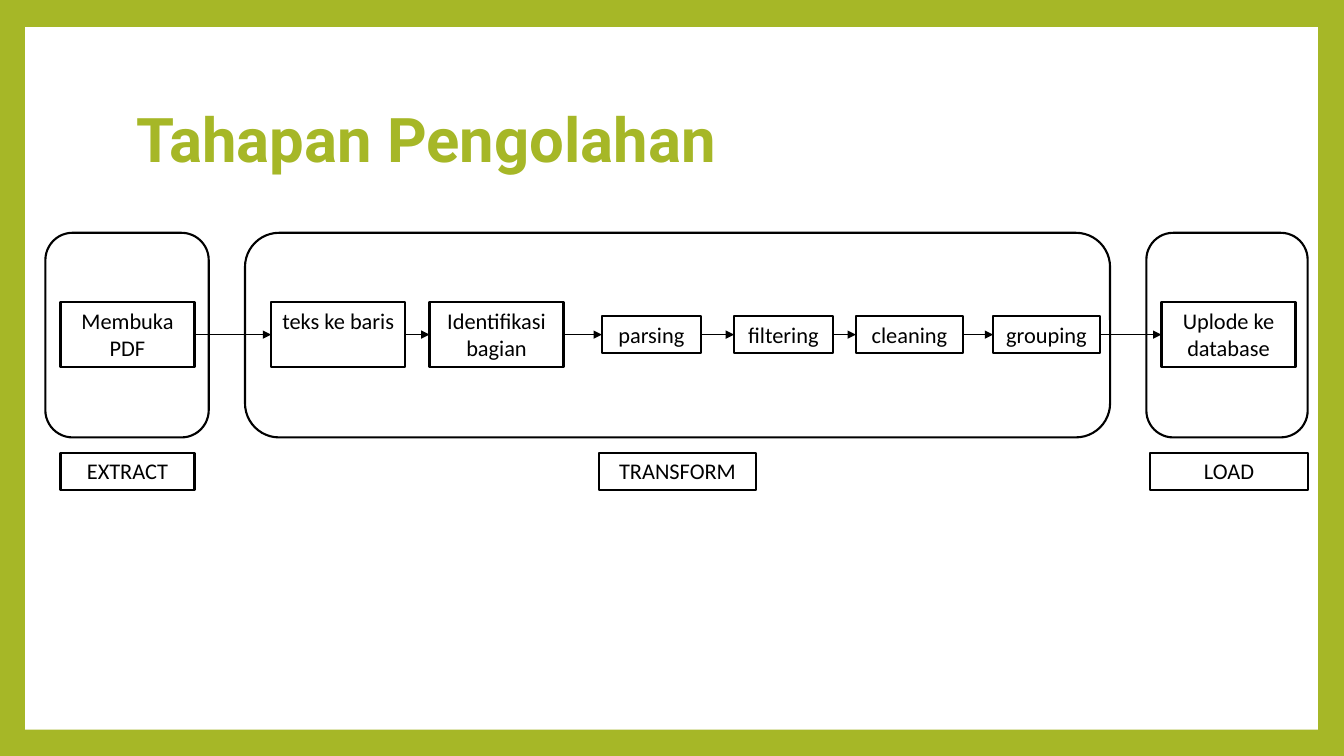
from dataclasses import dataclass

from lxml import etree
from pptx import Presentation
from pptx.dml.color import RGBColor
from pptx.enum.shapes import MSO_CONNECTOR, MSO_SHAPE
from pptx.enum.text import MSO_ANCHOR, MSO_AUTO_SIZE, PP_ALIGN
from pptx.oxml.ns import qn
from pptx.shapes.autoshape import Shape
from pptx.slide import Slide
from pptx.text.text import TextFrame
from pptx.util import Inches, Pt

RECTANGLE = MSO_SHAPE.RECTANGLE
ROUNDED = MSO_SHAPE.ROUNDED_RECTANGLE
STRAIGHT = MSO_CONNECTOR.STRAIGHT
LEFT, CENTER = PP_ALIGN.LEFT, PP_ALIGN.CENTER
MIDDLE, TOP = MSO_ANCHOR.MIDDLE, MSO_ANCHOR.TOP
GROW = MSO_AUTO_SIZE.SHAPE_TO_FIT_TEXT
LEFT_SITE, RIGHT_SITE = 1, 3

GREEN, WHITE, BLACK = "A6B727", "FFFFFF", "000000"
FLOW_MIDDLE = 3.32
ONE_LINE, TWO_LINES = 0.37, 0.64
GROUP_TOP, GROUP_HEIGHT = 2.31, 2.03
LABEL_TOP = 4.49


@dataclass(frozen=True)
class Step:
    text: str
    left: float
    width: float
    height: float


@dataclass(frozen=True)
class Phase:
    """An ETL phase: its rounded outline and the label below it."""
    name: str
    left: float
    width: float
    label_left: float
    label_width: float


STEPS = [
    Step("Membuka PDF", 0.6, 1.33, TWO_LINES),
    Step("teks ke baris", 2.69, 1.33, TWO_LINES),
    Step("Identifikasi bagian", 4.26, 1.33, TWO_LINES),
    Step("parsing", 5.97, 0.98, ONE_LINE),
    Step("filtering", 7.28, 0.98, ONE_LINE),
    Step("cleaning", 8.49, 1.06, ONE_LINE),
    Step("grouping", 9.85, 1.06, ONE_LINE),
    Step("Uplode ke database", 11.52, 1.33, TWO_LINES),
]
PHASES = [
    Phase("EXTRACT", 0.45, 1.62, 0.6, 1.33),
    Phase("TRANSFORM", 2.43, 8.58, 5.94, 1.56),
    Phase("LOAD", 11.37, 1.6, 11.41, 1.56),
]


def rgb(colour: str) -> RGBColor:
    return RGBColor.from_string(colour)


def write(frame: TextFrame, text: str, font: str, size: float, colour: str,
          align: PP_ALIGN, bold: bool = False) -> None:
    paragraph = frame.paragraphs[0]
    paragraph.alignment = align
    run = paragraph.add_run()
    run.text = text
    run.font.name, run.font.size, run.font.bold = font, Pt(size), bold
    run.font.color.rgb = rgb(colour)


def add_area(slide: Slide, kind: MSO_SHAPE, left: float, top: float, width: float,
             height: float, fill: str | None, line: str | None) -> Shape:
    area = slide.shapes.add_shape(kind, Inches(left), Inches(top), Inches(width), Inches(height))
    area.shadow.inherit = False
    if fill:
        area.fill.solid()
        area.fill.fore_color.rgb = rgb(fill)
    else:
        area.fill.background()
    if line:
        area.line.color.rgb = rgb(line)
        area.line.width = Pt(1.5)
    else:
        area.line.fill.background()
    return area


def add_box(slide: Slide, text: str, left: float, top: float, width: float,
            height: float) -> Shape:
    box = add_area(slide, RECTANGLE, left, top, width, height, WHITE, BLACK)
    frame = box.text_frame
    frame.word_wrap = True
    frame.auto_size = GROW
    frame.vertical_anchor = TOP
    write(frame, text, "Calibri", 16, BLACK, CENTER)
    return box


def add_arrow(slide: Slide, source: Shape, target: Shape) -> None:
    arrow = slide.shapes.add_connector(STRAIGHT, 0, 0, 0, 0)
    arrow.begin_connect(source, RIGHT_SITE)
    arrow.end_connect(target, LEFT_SITE)
    arrow.line.color.rgb = rgb(BLACK)
    arrow.line.width = Pt(0.79)
    properties = arrow.element.spPr
    etree.SubElement(properties.find(qn("a:ln")), qn("a:tailEnd"), type="triangle")
    etree.SubElement(properties, qn("a:effectLst"))


def add_title(slide: Slide) -> None:
    title = slide.shapes.title
    title.left, title.top = Inches(1.25), Inches(0.67)
    title.width, title.height = Inches(10.8), Inches(1.48)
    frame = title.text_frame
    frame.vertical_anchor = MIDDLE
    frame.paragraphs[0].line_spacing = 0.9
    write(frame, "Tahapan Pengolahan", "Roboto", 44, GREEN, LEFT, bold=True)


def add_backdrop(slide: Slide) -> None:
    """Green page with a white panel behind the title."""
    slide.background.fill.solid()
    slide.background.fill.fore_color.rgb = rgb(GREEN)
    panel = add_area(slide, RECTANGLE, 0.25, 0.27, 12.82, 6.97, WHITE, None)
    slide.shapes.title.element.addprevious(panel.element)


def main() -> None:
    presentation = Presentation()
    presentation.slide_width, presentation.slide_height = Inches(13.33), Inches(7.5)
    slide = presentation.slides.add_slide(presentation.slide_layouts[5])
    add_backdrop(slide)
    add_title(slide)

    for phase in PHASES:
        add_area(slide, ROUNDED, phase.left, GROUP_TOP, phase.width, GROUP_HEIGHT, None, BLACK)
        add_box(slide, phase.name, phase.label_left, LABEL_TOP, phase.label_width, ONE_LINE)

    boxes = [add_box(slide, step.text, step.left, FLOW_MIDDLE - step.height / 2,
                     step.width, step.height) for step in STEPS]
    for source, target in zip(boxes, boxes[1:]):
        add_arrow(slide, source, target)

    presentation.save("out.pptx")


if __name__ == "__main__":
    main()
